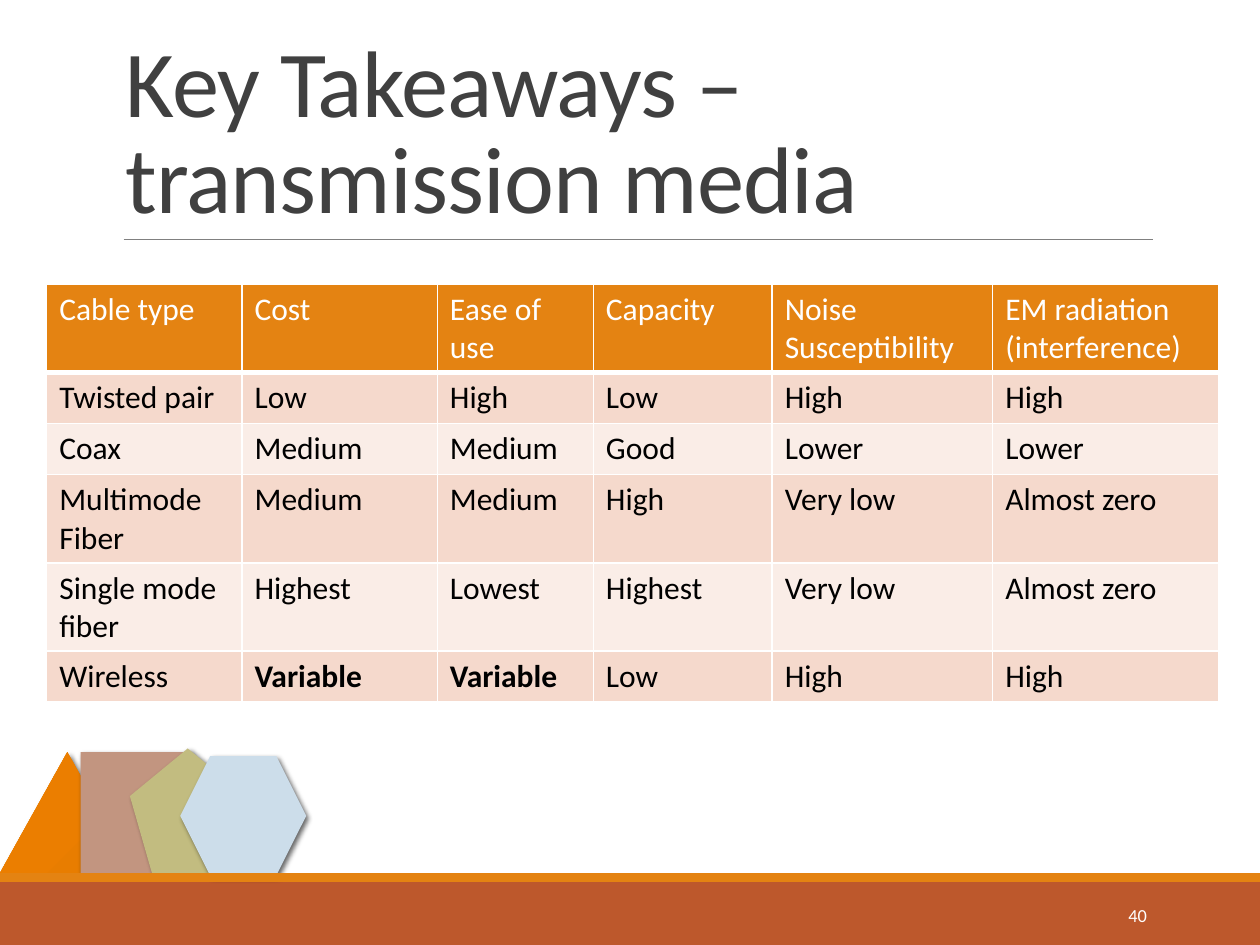
from dataclasses import dataclass

from lxml import etree
from pptx import Presentation
from pptx.dml.color import RGBColor
from pptx.enum.shapes import MSO_CONNECTOR, MSO_SHAPE
from pptx.enum.text import MSO_ANCHOR, PP_ALIGN
from pptx.oxml.ns import qn
from pptx.util import Pt

LINE = MSO_CONNECTOR.STRAIGHT
RECT = MSO_SHAPE.RECTANGLE
TRIANGLE = MSO_SHAPE.ISOSCELES_TRIANGLE
PENTAGON = MSO_SHAPE.REGULAR_PENTAGON
HEXAGON = MSO_SHAPE.HEXAGON
BOTTOM, MIDDLE = MSO_ANCHOR.BOTTOM, MSO_ANCHOR.MIDDLE
LEFT, RIGHT = PP_ALIGN.LEFT, PP_ALIGN.RIGHT


@dataclass(frozen=True)
class Theme:
    font: str = "Calibri"
    title: float = 54
    body: float = 18
    small: float = 10.5
    ink: str = "404040"
    black: str = "000000"
    white: str = "FFFFFF"
    rule: str = "808080"
    accent: str = "E48312"
    footer: str = "BD582C"
    rose: str = "C29580"
    olive: str = "C2BC80"
    sky: str = "CCDDEA"
    bands: tuple = ("F5D9CC", "FAEDE7")
    glow: tuple = ((0, "E57B00"), (34, "E87D00"), (70, "EB7E00"), (100, "EF8407"))


THEME = Theme()

WIDTHS = (111.6, 111.6, 89.2, 102.2, 126, 129.4)
ROW_HEIGHT = 29.2
ROWS = (
    ("Cable type", "Cost", "Ease of use", "Capacity",
     "Noise Susceptibility", "EM radiation (interference)"),
    ("Twisted pair", "Low", "High", "Low", "High", "High"),
    ("Coax", "Medium", "Medium", "Good", "Lower", "Lower"),
    ("Multimode Fiber", "Medium", "Medium", "High", "Very low", "Almost zero"),
    ("Single mode fiber", "Highest", "Lowest", "Highest", "Very low", "Almost zero"),
    ("Wireless", "Variable", "Variable", "Low", "High", "High"),
)


def add_node(parent, tag, **attrs):
    node = etree.SubElement(parent, qn(tag))
    for key, value in attrs.items():
        node.set(key, str(value))
    return node


def style_text(para, size, color, bold=False):
    for run in para.runs:
        font = run.font
        font.name, font.size, font.bold = THEME.font, Pt(size), bold
        font.color.rgb = RGBColor.from_string(color)


def add_block(slide, kind, box, color=None):
    """Add a borderless shape without shadow, filled when a color is given."""
    shape = slide.shapes.add_shape(kind, *map(Pt, box))
    shape.shadow.inherit = False
    shape.line.fill.background()
    if color:
        shape.fill.solid()
        shape.fill.fore_color.rgb = RGBColor.from_string(color)
    return shape


def add_glow(shape, stops):
    """Fill with a circular gradient centred on the lower right corner."""
    shape.fill.gradient()
    grad = shape._element.spPr.find(qn("a:gradFill"))
    for child in list(grad):
        grad.remove(child)
    group = add_node(grad, "a:gsLst")
    for place, color in stops:
        stop = add_node(group, "a:gs", pos=place * 1000)
        add_node(stop, "a:srgbClr", val=color)
    way = add_node(grad, "a:path", path="circle")
    add_node(way, "a:fillToRect", l=100000, t=100000)


def add_shadow(shape):
    effects = shape._element.spPr.find(qn("a:effectLst"))
    shadow = add_node(effects, "a:outerShdw", blurRad=Pt(3), dist=Pt(2),
                      dir=45 * 60000, algn="tl", rotWithShape=0)
    color = add_node(shadow, "a:srgbClr", val=THEME.black)
    add_node(color, "a:alpha", val=60000)


def add_rule(slide, left, right, top):
    line = slide.shapes.add_connector(LINE, Pt(left), Pt(top), Pt(right), Pt(top))
    line.line.width = Pt(0.5)
    line.line.color.rgb = RGBColor.from_string(THEME.rule)
    add_node(line._element.spPr, "a:effectLst")


def add_text(slide, box, text, size, color, anchor, align):
    frame = slide.shapes.add_textbox(*map(Pt, box)).text_frame
    frame.word_wrap = True
    frame.vertical_anchor = anchor
    para = frame.paragraphs[0]
    para.text = text
    para.alignment = align
    style_text(para, size, color)
    return para


def add_title(slide, text):
    para = add_text(slide, (64.8, 22.3, 594, 114.5), text,
                    THEME.title, THEME.ink, BOTTOM, LEFT)
    para.line_spacing = 0.85
    for run in para.runs:
        run.font._element.set("spc", "-50")


def add_borders(cell, base):
    props = cell._tc.get_or_add_tcPr()
    for side, width in (("L", 1), ("R", 1), ("T", 1), ("B", base)):
        line = add_node(props, f"a:ln{side}", w=Pt(width))
        add_node(add_node(line, "a:solidFill"), "a:srgbClr", val=THEME.white)


def fill_cell(cell, text, row):
    head = row == 0
    add_borders(cell, 3 if head else 1)
    cell.fill.solid()
    color = THEME.accent if head else THEME.bands[(row - 1) % 2]
    cell.fill.fore_color.rgb = RGBColor.from_string(color)
    cell.text_frame.text = text
    style_text(cell.text_frame.paragraphs[0], THEME.body,
               THEME.white if head else THEME.black, text == "Variable")


def add_grid(slide, left, top):
    frame = slide.shapes.add_table(len(ROWS), len(WIDTHS), Pt(left), Pt(top),
                                   Pt(sum(WIDTHS)), Pt(ROW_HEIGHT * len(ROWS)))
    table = frame.table
    for col, width in zip(table.columns, WIDTHS):
        col.width = Pt(width)
    for i, texts in enumerate(ROWS):
        table.rows[i].height = Pt(ROW_HEIGHT)
        for j, text in enumerate(texts):
            fill_cell(table.cell(i, j), text, i)


def add_decor(slide):
    """Draw the overlapping shapes, the title rule and the footer bands."""
    peak = add_block(slide, TRIANGLE, (0, 429.8, 77, 69.1))
    add_glow(peak, THEME.glow)
    add_shadow(peak)
    add_shadow(add_block(slide, RECT, (46.1, 429.8, 62.6, 69.1), THEME.rose))
    add_block(slide, RECT, (0, 504, 720, 36), THEME.footer)
    add_rule(slide, 70.6, 658.8, 136.8)
    add_shadow(add_block(slide, PENTAGON, (74.2, 427.7, 66.2, 71.3), THEME.olive))
    add_shadow(add_block(slide, HEXAGON, (103, 432, 72, 68.4), THEME.sky))
    add_block(slide, RECT, (0, 499, 720, 5), THEME.accent)


def main():
    deck = Presentation()
    deck.slide_width, deck.slide_height = Pt(720), Pt(540)
    slide = deck.slides.add_slide(deck.slide_layouts[6])
    add_decor(slide)
    add_title(slide, "Key Takeaways – transmission media")
    add_grid(slide, 26.7, 162.4)
    add_text(slide, (584.6, 508.3, 77.8, 28.8), "40",
             THEME.small, THEME.white, MIDDLE, RIGHT)
    deck.save("out.pptx")


if __name__ == "__main__":
    main()
